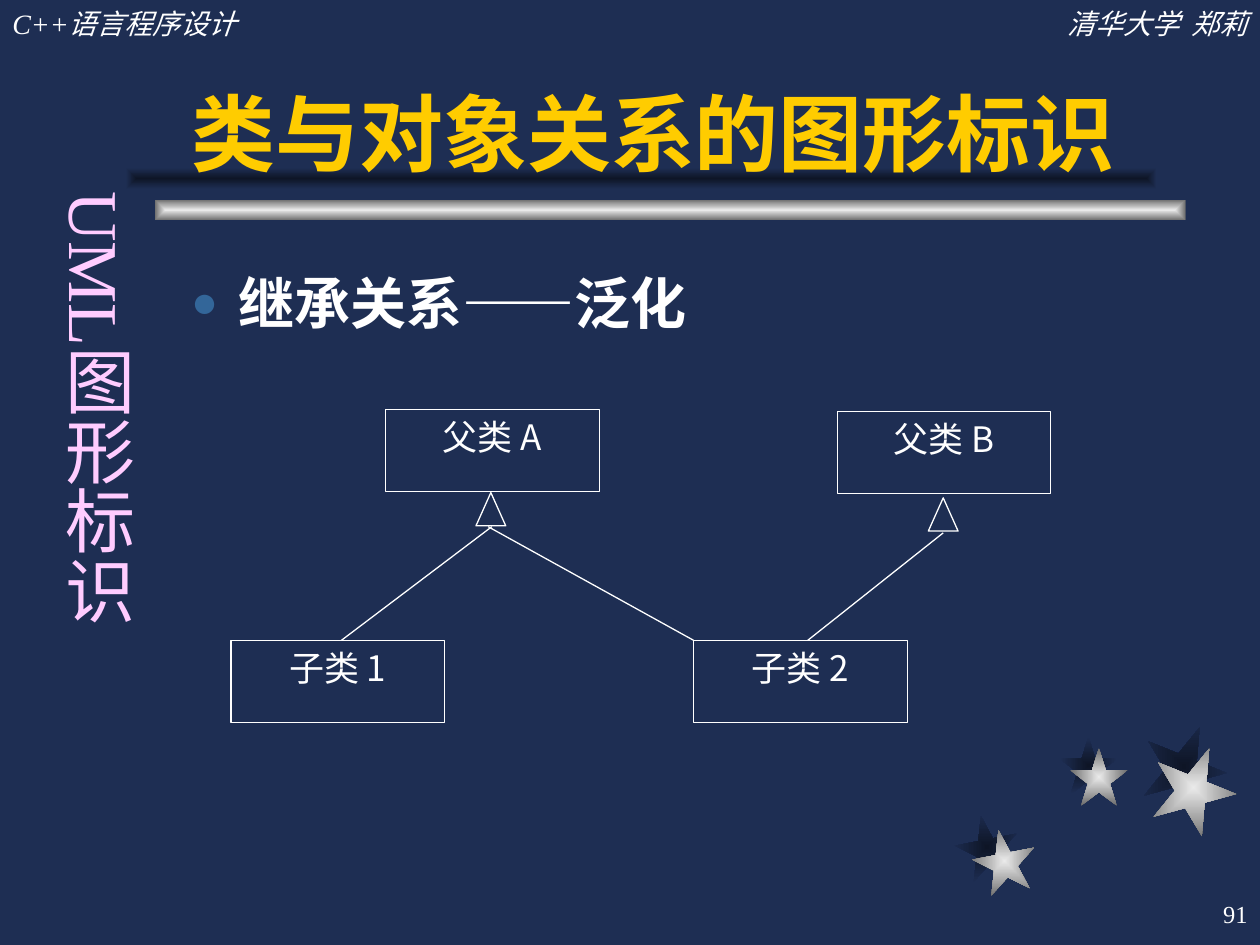
from lxml.etree import SubElement
from pptx import Presentation
from pptx.dml.color import RGBColor
from pptx.enum.shapes import MSO_CONNECTOR, MSO_SHAPE
from pptx.enum.text import MSO_ANCHOR, MSO_AUTO_SIZE, PP_ALIGN
from pptx.oxml import parse_xml
from pptx.oxml.ns import nsdecls, qn
from pptx.util import Pt

NAVY = RGBColor(0x1E, 0x2E, 0x53)
SHADOW = RGBColor(0x0E, 0x15, 0x26)
SILVER = RGBColor(0xEA, 0xEA, 0xEA)
GRAY = RGBColor(0x6C, 0x6C, 0x6C)
WHITE = RGBColor(0xFF, 0xFF, 0xFF)
GOLD = RGBColor(0xFF, 0xCC, 0x00)
PINK = RGBColor(0xFF, 0xCC, 0xFF)
BLUE = RGBColor(0x33, 0x66, 0x99)

SERIF = "Times New Roman"
SANS = "Arial"
CHINESE = "Noto Sans CJK SC"

BOX_WIDTH, BOX_HEIGHT = 122, 47
ARROW_WIDTH, ARROW_HEIGHT = 17, 19


def points(*values):
    return [Pt(value) for value in values]


def style_paragraph(paragraph, size, color, name, align=PP_ALIGN.LEFT):
    paragraph.alignment = align
    font = paragraph.font
    font.size, font.name = Pt(size), name
    font.color.rgb = color
    for run in paragraph.runs:
        properties = run._r.get_or_add_rPr()
        SubElement(properties, qn("a:ea")).set("typeface", CHINESE)


def add_text(slide, bounds, text, size, color=WHITE, align=PP_ALIGN.LEFT):
    shape = slide.shapes.add_textbox(*points(*bounds))
    frame = shape.text_frame
    frame.word_wrap = True
    frame.text = text
    style_paragraph(frame.paragraphs[0], size, color, SERIF, align)
    return shape


def add_gradient_shape(slide, kind, bounds, inner, outer, rotation=0):
    shape = slide.shapes.add_shape(kind, *points(*bounds))
    shape.rotation = rotation
    shape.shadow.inherit = False
    shape.line.fill.background()
    # A gradient running from the centre to the edges
    gradient = parse_xml(
        f'<a:gradFill {nsdecls("a")} rotWithShape="1"><a:gsLst>'
        f'<a:gs pos="0"><a:srgbClr val="{inner}"/></a:gs>'
        f'<a:gs pos="100000"><a:srgbClr val="{outer}"/></a:gs></a:gsLst>'
        '<a:path path="rect"><a:fillToRect l="50000" t="50000" r="50000" b="50000"/>'
        '</a:path></a:gradFill>')
    shape._element.spPr.find(qn("a:prstGeom")).addnext(gradient)


def add_outline(slide, kind, bounds):
    shape = slide.shapes.add_shape(kind, *points(*bounds))
    shape.shadow.inherit = False
    shape.fill.background()
    shape.line.color.rgb = WHITE
    shape.line.width = Pt(0.75)
    return shape


def add_class_box(slide, left, top, text):
    bounds = (left, top, BOX_WIDTH, BOX_HEIGHT)
    frame = add_outline(slide, MSO_SHAPE.RECTANGLE, bounds).text_frame
    frame.vertical_anchor = MSO_ANCHOR.TOP
    frame.text = text
    style_paragraph(frame.paragraphs[0], 20, WHITE, CHINESE, PP_ALIGN.CENTER)


def add_line(slide, start, end):
    line = slide.shapes.add_connector(MSO_CONNECTOR.STRAIGHT, *points(*start, *end))
    line.line.color.rgb = WHITE
    line.line.width = Pt(0.75)
    SubElement(line._element.spPr, qn("a:effectLst"))


def add_decoration(slide):
    # Stars: shadows first, then the silver faces
    stars = [  # size, rotation, shadow position, face position
        (36, 349, (546, 466), (556, 474)),
        (33, 0, (605.5, 421), (611.5, 427.5)),
        (48, 22, (652.5, 414), (658, 426)),
    ]
    for layer, colors in ((2, (SHADOW, NAVY)), (3, (SILVER, GRAY))):
        for star in stars:
            size, rotation = star[:2]
            add_gradient_shape(slide, MSO_SHAPE.STAR_5_POINT,
                               (*star[layer], size, size), *colors, rotation)
    # Silver bar and the shadow bar above it
    add_gradient_shape(slide, MSO_SHAPE.RECTANGLE, (88.5, 114, 589, 12), SILVER, GRAY)
    add_gradient_shape(slide, MSO_SHAPE.RECTANGLE, (72, 96, 589, 12), SHADOW, NAVY)


def add_margin_text(slide):
    for left, text, align in ((0, "C++语言程序设计", PP_ALIGN.LEFT),
                              (498, "清华大学  郑莉", PP_ALIGN.RIGHT)):
        header = add_text(slide, (left, 0, 222, 27), text, 16, align=align)
        header.text_frame.paragraphs[0].font.italic = True
    number = add_text(slide, (570, 504, 150, 36), "91", 14, align=PP_ALIGN.RIGHT)
    number.text_frame.vertical_anchor = MSO_ANCHOR.MIDDLE

    side = add_text(slide, (21.5, 102, 62, 372), "UML图形标识", 40, PINK, PP_ALIGN.CENTER)
    frame = side.text_frame
    frame.margin_left = frame.margin_right = Pt(3.6)
    frame.margin_top = frame.margin_bottom = Pt(7.2)
    frame._txBody.bodyPr.set("vert", "eaVert")


def place(placeholder, bounds, anchor):
    (placeholder.left, placeholder.top,
     placeholder.width, placeholder.height) = points(*bounds)
    frame = placeholder.text_frame
    frame.auto_size = MSO_AUTO_SIZE.NONE
    frame.vertical_anchor = anchor
    return frame


def fill_title(slide):
    frame = place(slide.shapes.title, (102, 18, 564, 90), MSO_ANCHOR.BOTTOM)
    frame.text = "类与对象关系的图形标识"
    paragraph = frame.paragraphs[0]
    style_paragraph(paragraph, 48, GOLD, SANS)
    paragraph.font.bold = True


def fill_body(slide):
    frame = place(slide.placeholders[1], (102, 150, 570, 324), MSO_ANCHOR.TOP)
    paragraph = frame.paragraphs[0]
    for text in ("继承关系", "——", "泛化"):
        paragraph.add_run().text = text
    style_paragraph(paragraph, 32, WHITE, SANS)
    paragraph.runs[1].font.name = CHINESE
    paragraph.font.bold = True
    paragraph.space_before = Pt(8)
    # Round blue bullet with a hanging indent
    properties = paragraph._p.get_or_add_pPr()
    properties.set("marL", str(Pt(27)))
    properties.set("indent", str(Pt(-27)))
    bullet = (f'<a:buClr {nsdecls("a")}><a:srgbClr val="{BLUE}"/></a:buClr>',
              f'<a:buSzPct {nsdecls("a")} val="80000"/>',
              f'<a:buChar {nsdecls("a")} char="●"/>')
    defaults = properties.find(qn("a:defRPr"))
    for xml in bullet:
        defaults.addprevious(parse_xml(xml))


def add_class_diagram(slide):
    for left, top, text in ((220.5, 234, "父类 A"), (478.5, 235, "父类 B"),
                            (132, 366, "子类 1"), (396.5, 366, "子类 2")):
        add_class_box(slide, left, top, text)
    # Generalization arrowheads under the parent classes
    for left, top in ((272, 281.5), (530.5, 284.5)):
        add_outline(slide, MSO_SHAPE.ISOSCELES_TRIANGLE,
                    (left, top, ARROW_WIDTH, ARROW_HEIGHT))
    # Links from parents to children
    for start, end in (((279, 301), (396.5, 366)), ((281, 301), (195, 366)),
                       ((539, 304.5), (461.5, 366))):
        add_line(slide, start, end)


def main():
    presentation = Presentation()
    presentation.slide_width, presentation.slide_height = Pt(720), Pt(540)
    slide = presentation.slides.add_slide(presentation.slide_layouts[1])
    slide.background.fill.solid()
    slide.background.fill.fore_color.rgb = NAVY

    add_decoration(slide)
    # Keep the title and body in front of the decoration
    for placeholder in list(slide.placeholders):
        slide.shapes._spTree.append(placeholder._element)
    fill_title(slide)
    fill_body(slide)
    add_margin_text(slide)
    add_class_diagram(slide)
    presentation.save("out.pptx")


if __name__ == "__main__":
    main()
